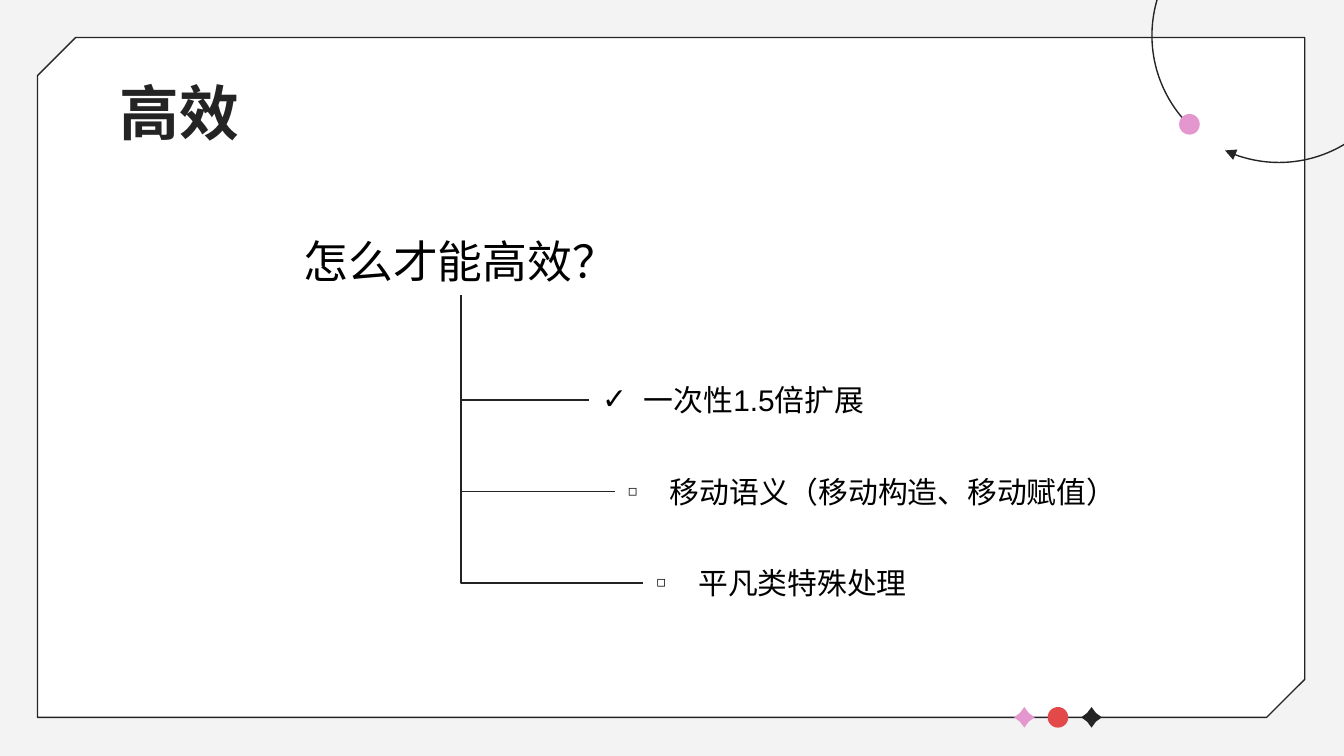
from lxml import etree
from pptx import Presentation
from pptx import util as u
from pptx.dml.color import RGBColor
from pptx.enum import shapes, text
from pptx.oxml.ns import qn

HUES = {"back": "F3F3F3", "card": "FFFFFF", "ink": "242424", "wire": "232323",
        "pink": "E496CE", "red": "E44949", "text": "000000"}
KIND = shapes.MSO_SHAPE
HAN = "Noto Sans CJK SC"


class Deck:
    def __init__(self, wide, high):
        self.prs = Presentation()
        self.prs.slide_width, self.prs.slide_height = u.Cm(wide), u.Cm(high)
        self.slide = self.prs.slides.add_slide(self.prs.slide_layouts[5])
        self.items = self.slide.shapes
        self.paint(self.slide.background.fill, "back")

    def paint(self, fill, hue):
        fill.solid()
        fill.fore_color.rgb = RGBColor.from_string(HUES[hue])

    def stroke(self, line, hue):
        self.paint(line.fill, hue)
        line.width = u.Pt(0.75)

    def shape(self, kind, box, fill=None, line=None, turn=0, adjust=()):
        item = self.items.add_shape(kind, *map(u.Cm, box))
        item.shadow.inherit = False
        item.rotation = turn
        for i, value in enumerate(adjust):
            item.adjustments[i] = value
        if fill:
            self.paint(item.fill, fill)
        else:
            item.fill.background()
        if line:
            self.stroke(item.line, line)
        else:
            item.line.fill.background()
        return item

    def mark(self, kind, x, y, hue, adjust=()):
        size = 0.39
        self.shape(kind, (x - size / 2, y - size / 2, size, size), hue, adjust=adjust)

    def style(self, para, size, hue, face, bold=False):
        for run in para.runs:
            font = run.font
            font.size, font.name, font.bold = u.Pt(size), face, bold
            font.color.rgb = RGBColor.from_string(HUES[hue])
            etree.SubElement(run._r.rPr, qn("a:ea"), typeface=HAN)

    def title(self, words, box):
        item = self.items.title
        item.left, item.top, item.width, item.height = map(u.Cm, box)
        frame = item.text_frame
        frame.text = words
        frame.vertical_anchor = text.MSO_ANCHOR.TOP
        frame.auto_size = text.MSO_AUTO_SIZE.NONE
        frame.margin_top = frame.margin_bottom = u.Cm(0.25)
        para = frame.paragraphs[0]
        para.alignment = text.PP_ALIGN.LEFT
        self.style(para, 32, "ink", HAN, True)
        # Bring the title in front of the card
        self.items._spTree.append(item._element)

    def label(self, words, box, size, face, align=None):
        frame = self.items.add_textbox(*map(u.Cm, box)).text_frame
        frame.word_wrap = True
        frame.auto_size = text.MSO_AUTO_SIZE.SHAPE_TO_FIT_TEXT
        frame.text = words
        para = frame.paragraphs[0]
        para.alignment = align
        self.style(para, size, "text", face)
        return para

    def point(self, words, box, sign, scale):
        props = self.label(words, box, 16, "Arial")._p.get_or_add_pPr()
        dent = u.Cm(0.79)
        props.set("marL", str(dent))
        props.set("indent", str(-dent))
        tint = etree.SubElement(props, qn("a:buClr"))
        etree.SubElement(tint, qn("a:srgbClr"), val=HUES["text"])
        etree.SubElement(props, qn("a:buSzPct"), val=str(scale * 1000))
        etree.SubElement(props, qn("a:buFont"), typeface="Arial")
        etree.SubElement(props, qn("a:buChar"), char=sign)

    def elbow(self, x, y, to_x, to_y):
        """Draw down from the start, then right to the end."""
        mid_x, mid_y = (x + to_x) / 2, (y + to_y) / 2
        half_w, half_h = (to_y - y) / 2, (to_x - x) / 2
        ends = (mid_x + half_w, mid_y - half_h, mid_x - half_w, mid_y + half_h)
        wire = self.items.add_connector(shapes.MSO_CONNECTOR.ELBOW, *map(u.Cm, ends))
        self.stroke(wire.line, "wire")
        props = wire._element.spPr
        props.find(qn("a:xfrm")).set("rot", str(270 * 60000))
        props.find(qn("a:prstGeom")).set("prst", "bentConnector2")
        etree.SubElement(props, qn("a:effectLst"))


def main():
    deck = Deck(25.4, 14.29)

    # Card with two cut corners
    deck.shape(KIND.SNIP_2_DIAG_RECTANGLE, (0.71, 0.71, 23.95, 12.85),
               "card", "ink", adjust=(0.056, 0))

    # Marks on the lower edge
    marks = [(KIND.STAR_4_POINT, "pink", [0.3]), (KIND.OVAL, "red", []),
             (KIND.STAR_4_POINT, "ink", [0.3])]
    for i, (kind, hue, adjust) in enumerate(marks):
        deck.mark(kind, 19.36 + 0.635 * i, 13.56, hue, adjust)

    # Arc with arrowhead and dot in the corner
    arc = deck.shape(KIND.ARC, (21.77, -1.73, 4.8, 4.8), line="ink",
                     turn=225, adjust=(162, 150.08))
    etree.SubElement(arc._element.spPr.find(qn("a:ln")), qn("a:tailEnd"), type="triangle")
    deck.mark(KIND.OVAL, 22.48, 2.35, "pink")

    # Title and question
    deck.title("高效", (2.01, 1.19, 21.41, 1.6))
    deck.label("怎么才能高效？", (3.43, 4.29, 10.54, 1.27), 24, HAN, text.PP_ALIGN.CENTER)

    # Answers, each wired to the question
    high = 0.94
    points = [("一次性1.5倍扩展", 11.13, 5.54, "✓", 100),
              ("移动语义（移动构造、移动赋值）", 11.62, 9.86, "◻", 50),
              ("平凡类特殊处理", 12.16, 5.31, "◻", 50)]
    for i, (words, x, wide, sign, scale) in enumerate(points):
        y = 7.09 + 1.73 * i
        deck.point(words, (x, y, wide, high), sign, scale)
        deck.elbow(8.71, 5.58, x, y + high / 2)

    deck.prs.save("out.pptx")


if __name__ == "__main__":
    main()
